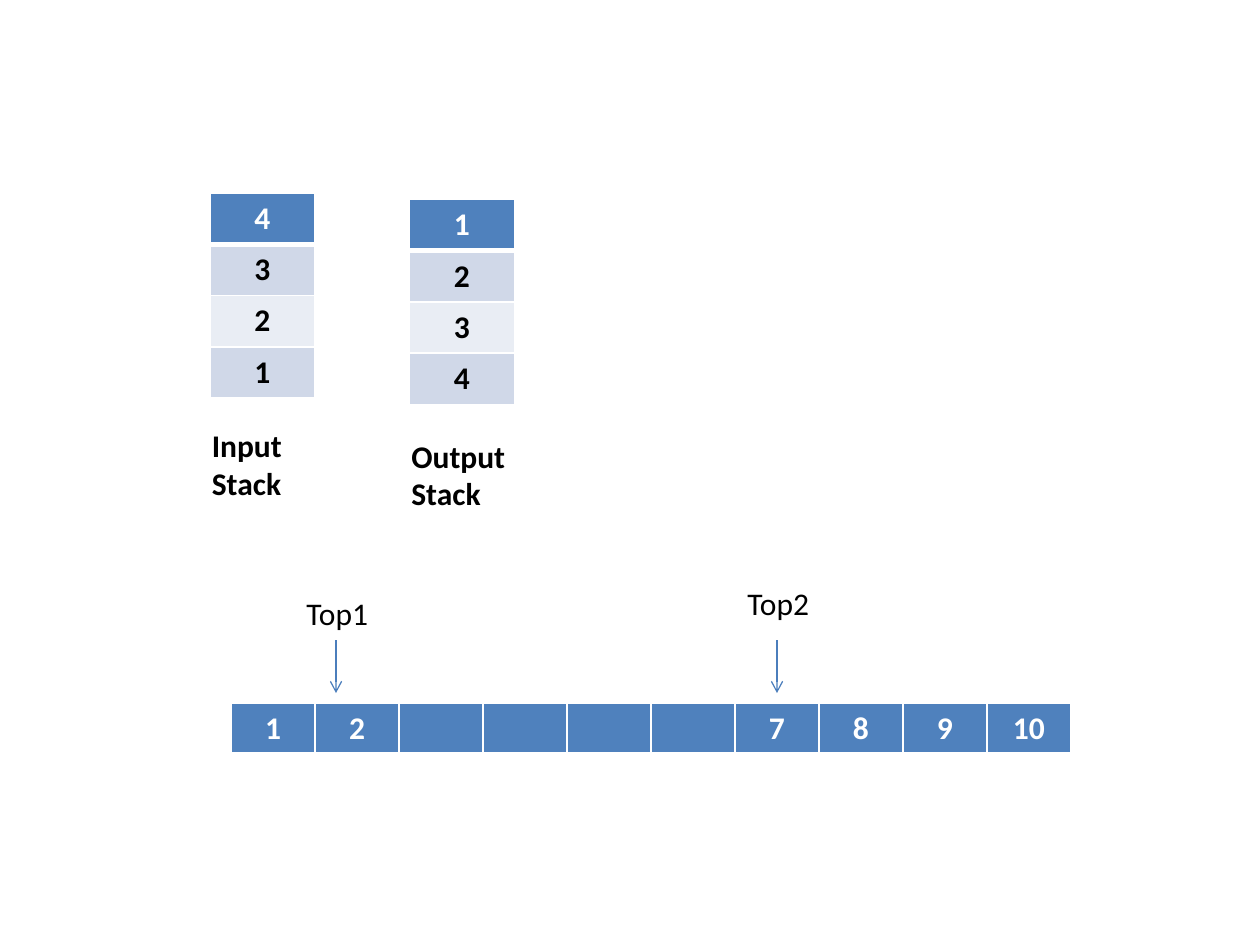
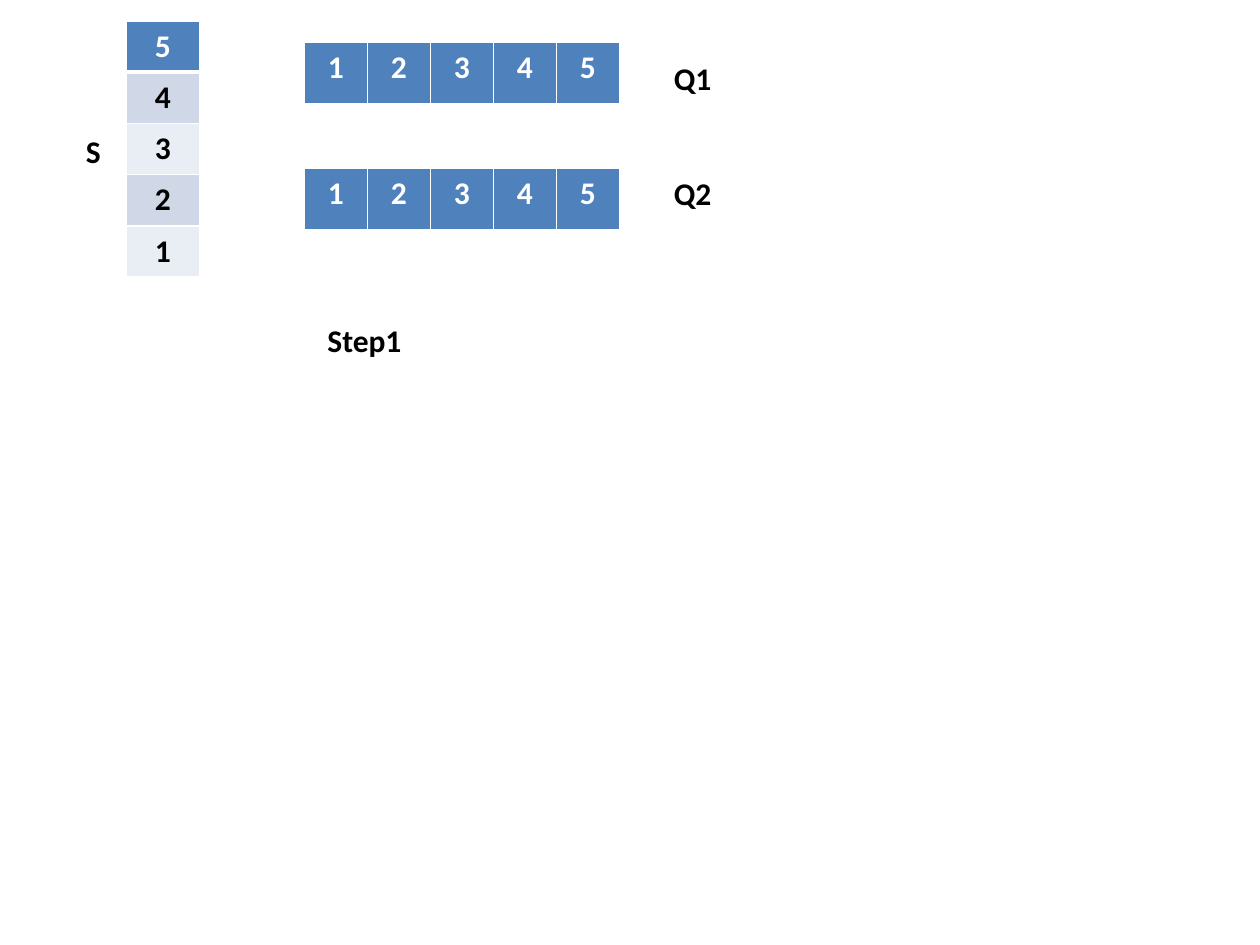
from lxml.etree import SubElement
from pptx import Presentation
from pptx.dml.color import RGBColor
from pptx.enum.shapes import MSO_CONNECTOR
from pptx.enum.text import MSO_AUTO_SIZE, PP_ALIGN
from pptx.oxml.ns import qn
from pptx.util import Inches, Pt

# Grid: 120 columns by 90 rows on a 10 by 7.5 inch slide
COLUMNS, ROWS = 120, 90
WIDTH, HEIGHT = Inches(10), Inches(7.5)

# Shared style
FONT, SIZE = "Calibri", 18
BLACK, WHITE = "000000", "FFFFFF"
HEADER, ARROW = "4F81BD", "4B7EBC"
BANDS = ["D0D8E8", "E9EDF4"]
THIN, THICK = 1, 3
CELL_HEIGHT = 4.88
LINE_HEIGHT, TWO_LINES = 4.8, 8.5


def color(hex_string):
    return RGBColor.from_string(hex_string)


def across(columns):
    return round(WIDTH * columns / COLUMNS)


def down(rows):
    return round(HEIGHT * rows / ROWS)


class Diagram:
    """Draws stacks, arrays, labels and pointers on the current slide."""

    def __init__(self):
        self.presentation = Presentation()
        self.presentation.slide_width = WIDTH
        self.presentation.slide_height = HEIGHT
        self.slide = None

    def new_slide(self):
        layout = self.presentation.slide_layouts.get_by_name("Blank")
        self.slide = self.presentation.slides.add_slide(layout)

    def add_text(self, paragraph, text, font_color, bold=True):
        run = paragraph.add_run()
        run.text = text
        run.font.name = FONT
        run.font.size = Pt(SIZE)
        run.font.bold = bold
        run.font.color.rgb = color(font_color)

    def border(self, cell, side, width):
        properties = cell._tc.get_or_add_tcPr()
        line = SubElement(properties, qn(f"a:ln{side}"), w=str(Pt(width)))
        fill = SubElement(line, qn("a:solidFill"))
        SubElement(fill, qn("a:srgbClr"), val=WHITE)

    def cell(self, cell, text, row):
        top = THICK if row == 1 else THIN
        bottom = THICK if row == 0 else THIN
        for side, width in (("L", THIN), ("R", THIN), ("T", top), ("B", bottom)):
            self.border(cell, side, width)
        cell.fill.solid()
        cell.fill.fore_color.rgb = color(BANDS[(row - 1) % 2] if row else HEADER)
        paragraph = cell.text_frame.paragraphs[0]
        paragraph.alignment = PP_ALIGN.CENTER
        if text:
            self.add_text(paragraph, text, BLACK if row else WHITE)

    def table(self, lines, left, top, cell_width, cell_height):
        row_count, column_count = len(lines), len(lines[0])
        table = self.slide.shapes.add_table(
            row_count, column_count, across(left), down(top),
            across(cell_width * column_count), down(cell_height * row_count)).table
        for column in table.columns:
            column.width = across(cell_width)
        for row, line in enumerate(lines):
            table.rows[row].height = down(cell_height)
            for column, text in enumerate(line):
                self.cell(table.cell(row, column), text, row)

    def stack(self, values, left, top, width):
        self.table([[str(value)] for value in values], left, top, width, CELL_HEIGHT)

    def array(self, values, left, top, cell_width, cell_height):
        texts = [str(value) for value in values]
        self.table([texts], left, top, cell_width, cell_height)

    def label(self, lines, left, top, width, height=LINE_HEIGHT, bold=True):
        shape = self.slide.shapes.add_textbox(
            across(left), down(top), across(width), down(height))
        frame = shape.text_frame
        frame.word_wrap = True
        frame.auto_size = MSO_AUTO_SIZE.SHAPE_TO_FIT_TEXT
        for index, text in enumerate(lines):
            paragraph = frame.add_paragraph() if index else frame.paragraphs[0]
            self.add_text(paragraph, text, BLACK, bold)

    def arrow_down(self, column, top, bottom):
        connector = self.slide.shapes.add_connector(
            MSO_CONNECTOR.STRAIGHT,
            across(column), down(top), across(column), down(bottom))
        connector.line.color.rgb = color(ARROW)
        connector.line.width = Pt(0.75)
        SubElement(connector.line._get_or_add_ln(), qn("a:tailEnd"), type="arrow")
        SubElement(connector._element.spPr, qn("a:effectLst"))


def two_stacks_slide(diagram):
    diagram.new_slide()

    # Input and output stacks
    diagram.stack([4, 3, 2, 1], 20, 18.4, 10)
    diagram.stack([1, 2, 3, 4], 39, 19, 10)
    diagram.label(["Input Stack"], 19, 40, 11, TWO_LINES)
    diagram.label(["Output", "Stack"], 38, 41, 13, TWO_LINES)

    # One array that holds both stacks, with a pointer to each top
    diagram.array([1, 2, "", "", "", "", 7, 8, 9, 10], 22, 67, 8, CELL_HEIGHT)
    for text, column, label_top in (("Top1", 32, 56), ("Top2", 74, 55)):
        diagram.arrow_down(column, 61, 66)
        diagram.label([text], column - 4, label_top, 10, TWO_LINES, bold=False)


def queues_slide(diagram):
    diagram.new_slide()

    # Stack
    diagram.stack([5, 4, 3, 2, 1], 12, 2, 7)
    diagram.label(["S"], 7, 12, 4)
    diagram.label(["Step1"], 30, 30, 10)

    # Queues
    for name, queue_top, label_top in (("Q1", 4, 5), ("Q2", 16, 16)):
        diagram.array(range(1, 6), 29, queue_top, 6, 6)
        diagram.label([name], 63, label_top, 6)


def main():
    diagram = Diagram()
    two_stacks_slide(diagram)
    queues_slide(diagram)
    diagram.presentation.save("out.pptx")


if __name__ == "__main__":
    main()
